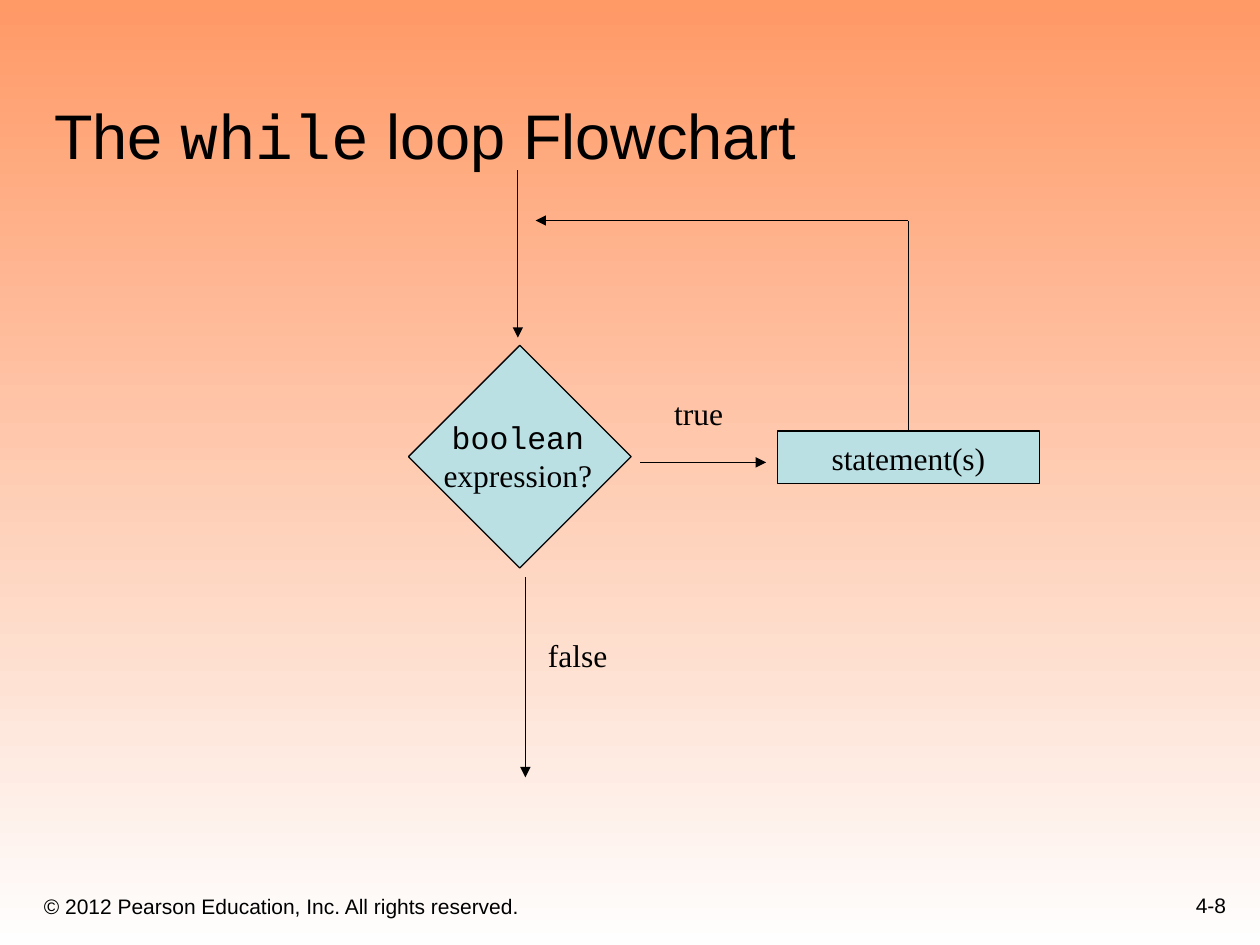
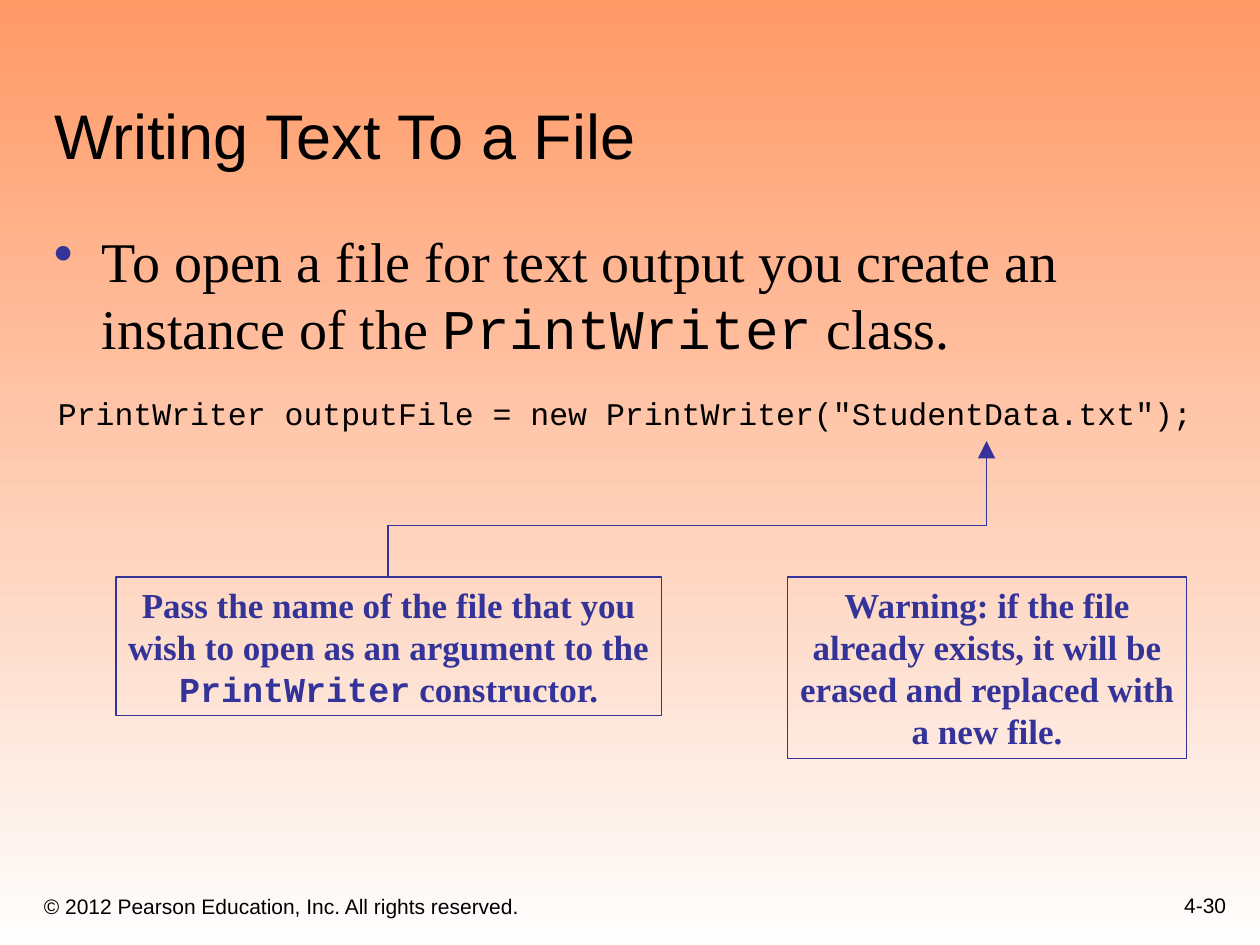
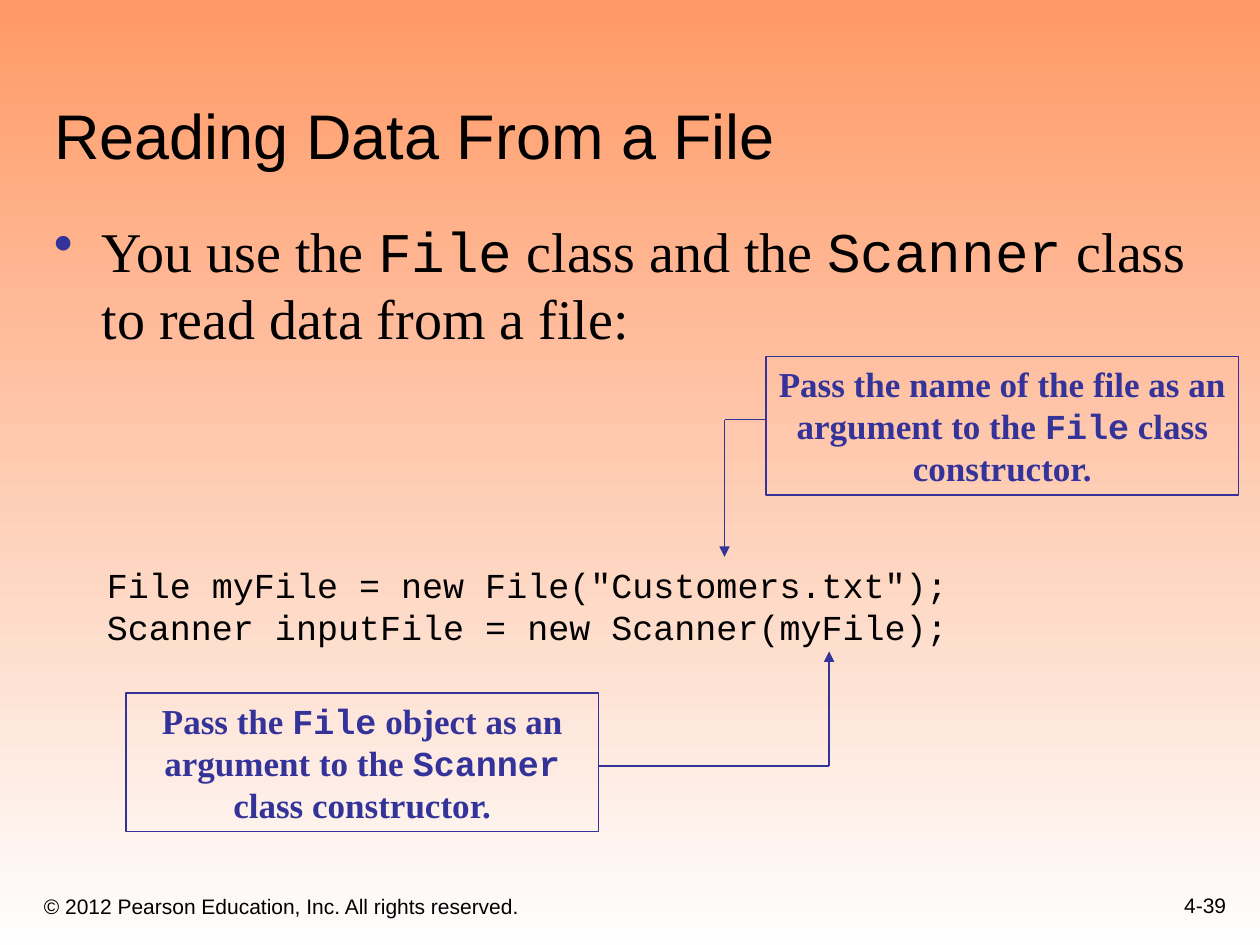
from itertools import pairwise

from lxml import etree
from pptx import Presentation
from pptx.dml.color import RGBColor
from pptx.enum.shapes import MSO_CONNECTOR, MSO_SHAPE
from pptx.enum.text import MSO_ANCHOR, MSO_AUTO_SIZE, PP_ALIGN
from pptx.oxml.ns import qn
from pptx.util import Inches, Pt

LEFT, CENTER, RIGHT = PP_ALIGN.LEFT, PP_ALIGN.CENTER, PP_ALIGN.RIGHT
TOP, MIDDLE, BOTTOM = MSO_ANCHOR.TOP, MSO_ANCHOR.MIDDLE, MSO_ANCHOR.BOTTOM

SANS, SERIF, MONO = "Arial", "Times New Roman", "Courier New"
BLACK, INDIGO, PALE_BLUE = "000000", "333399", "BBE0E3"
BACKGROUND = ("FF9966", "FEFEFE")
COPYRIGHT = "© 2012 Pearson Education, Inc. All rights reserved."
LINE_WIDTH = 0.75
LINE_HEIGHT = 1.2
BULLET_INDENT = 0.38

# Text between backticks is set in the code font.
# Places are (left, top, width, height); routes are lists of corner points.
FLOWCHART = {
    "title": "The `while` loop Flowchart",
    "page": "4-8",
    "decision": (3.5, 3, 1.25, 1.25),
    "statement": ("statement(s)", (6.17, 3.42, 2.08, 0.42)),
    "labels": [
        ("true", (5.25, 3.08, 0.59, 0.4)),
        ("`boolean`\nexpression?", (3.42, 3.27, 1.38, 0.7)),
        ("false", (4.25, 5, 0.67, 0.4)),
    ],
    "routes": [
        [(4.11, 1.35), (4.11, 2.68)],
        [(5.08, 3.67), (6.08, 3.67)],
        [(4.17, 4.58), (4.17, 6.17)],
        [(7.21, 3.42), (7.21, 1.75), (4.25, 1.75)],
    ],
}

CODE_SLIDES = [
    {
        "title": "Writing Text To a File",
        "page": "4-30",
        "bullet": ("To open a file for text output you create an instance of "
                   "the `PrintWriter` class.", (0.33, 1.75, 9.2, 1.3)),
        "code": ('`PrintWriter outputFile = new PrintWriter("StudentData.txt");`',
                 (0.17, 3.08, 9.58, 0.4), 18, CENTER),
        "callouts": [
            ("Pass the name of the file that you wish to open as an argument "
             "to the `PrintWriter` constructor.", (0.92, 4.58, 4.33, 1.1)),
            ("Warning: if the file already exists, it will be erased and "
             "replaced with a new file.", (6.25, 4.58, 3.17, 1.44)),
        ],
        "routes": [[(3.08, 4.58), (3.08, 4.17), (7.83, 4.17), (7.83, 3.5)]],
        "arrow_size": "lg",
    },
    {
        "title": "Reading Data From a File",
        "page": "4-39",
        "bullet": ("You use the `File` class and the `Scanner` class to read "
                   "data from a file:", (0.33, 1.67, 9.2, 1.67)),
        "code": ('`File myFile = new File("Customers.txt");`\n'
                 "`Scanner inputFile = new Scanner(myFile);`",
                 (0.75, 4.42, 7.17, 0.77), 20, LEFT),
        "callouts": [
            ("Pass the name of the file as an argument to the `File` class "
             "constructor.", (6.08, 2.83, 3.75, 1.1)),
            ("Pass the `File` object as an argument to the `Scanner` class "
             "constructor.", (1, 5.5, 3.75, 1.1)),
        ],
        "routes": [
            [(6.08, 3.33), (5.75, 3.33), (5.75, 4.42)],
            [(4.75, 6.08), (6.58, 6.08), (6.58, 5.17)],
        ],
        "arrow_size": "med",
    },
]


def rgb(color):
    return RGBColor.from_string(color)


def inches(place):
    return [Inches(length) for length in place]


def write(shape, text, size, font=SERIF, color=BLACK, align=LEFT, anchor=TOP,
          bold=False, wrap=True, side_inset=0.1, bullet=False):
    """Fill a shape with text, one paragraph per line, code in backticks."""
    frame = shape.text_frame
    frame.word_wrap = wrap
    frame.auto_size = MSO_AUTO_SIZE.NONE
    frame.vertical_anchor = anchor
    frame.margin_left = frame.margin_right = Inches(side_inset)
    frame.margin_top = frame.margin_bottom = Inches(0.05)
    for index, line in enumerate(text.split("\n")):
        paragraph = frame.add_paragraph() if index else frame.paragraphs[0]
        if bullet:
            add_bullet(paragraph)
        paragraph.alignment = align
        if font != SANS:
            paragraph.line_spacing = Pt(size * LINE_HEIGHT)
        paragraph.font.size = Pt(size)
        paragraph.font.bold = bold
        paragraph.font.name = font
        paragraph.font.color.rgb = rgb(color)
        for position, part in enumerate(line.split("`")):
            if part:
                run = paragraph.add_run()
                run.text = part
                if position % 2:
                    run.font.name = MONO


def add_bullet(paragraph):
    properties = paragraph._p.get_or_add_pPr()
    properties.set("marL", str(Inches(BULLET_INDENT)))
    properties.set("indent", str(-Inches(BULLET_INDENT)))
    bullet_color = etree.SubElement(properties, qn("a:buClr"))
    etree.SubElement(bullet_color, qn("a:srgbClr"), val=INDIGO)
    etree.SubElement(properties, qn("a:buChar"), char="•")


def add_text(slide, text, place, size, **style):
    write(slide.shapes.add_textbox(*inches(place)), text, size, **style)


def add_box(slide, place, line, fill=None):
    box = slide.shapes.add_shape(MSO_SHAPE.RECTANGLE, *inches(place))
    box.shadow.inherit = False
    box.line.color.rgb = rgb(line)
    box.line.width = Pt(LINE_WIDTH)
    if fill:
        box.fill.solid()
        box.fill.fore_color.rgb = rgb(fill)
    else:
        box.fill.background()
    return box


def add_route(slide, corners, color, arrow_size="med"):
    """Join the corners with straight lines and put an arrowhead on the last."""
    for start, end in pairwise(corners):
        segment = slide.shapes.add_connector(
            MSO_CONNECTOR.STRAIGHT, *inches(start + end))
        segment.line.color.rgb = rgb(color)
        segment.line.width = Pt(LINE_WIDTH)
        properties = segment._element.spPr
        etree.SubElement(properties, qn("a:effectLst"))
    etree.SubElement(properties.find(qn("a:ln")), qn("a:tailEnd"),
                     type="triangle", w=arrow_size, len=arrow_size)


def paint_background(prs):
    fill = prs.slide_master.background.fill
    fill.gradient()
    fill.gradient_angle = 270
    for stop, color in zip(fill.gradient_stops, BACKGROUND):
        stop.color.rgb = rgb(color)


def add_slide(prs, content):
    """Add a slide with its title, copyright line and page number."""
    slide = prs.slides.add_slide(prs.slide_layouts[5])
    title = slide.shapes.title
    title.left, title.top, title.width, title.height = inches(
        (0.33, 0.33, 9.42, 1.09))
    write(title, content["title"], 36, font=SANS, anchor=BOTTOM)
    add_text(slide, COPYRIGHT, (0.25, 6.92, 6.08, 0.42), 12,
             font=SANS, anchor=BOTTOM)
    add_text(slide, content["page"], (7.75, 6.83, 2.08, 0.5), 12,
             font=SANS, anchor=BOTTOM, align=RIGHT)
    return slide


def add_flowchart_slide(prs, content):
    slide = add_slide(prs, content)
    decision = add_box(slide, content["decision"], BLACK, PALE_BLUE)
    decision.rotation = 45
    statement, place = content["statement"]
    write(add_box(slide, place, BLACK, PALE_BLUE), statement, 18,
          align=CENTER, anchor=MIDDLE, wrap=False)
    for label, place in content["labels"]:
        add_text(slide, label, place, 18, align=CENTER, wrap=False)
    for corners in content["routes"]:
        add_route(slide, corners, BLACK)


def add_code_slide(prs, content):
    slide = add_slide(prs, content)
    bullet, place = content["bullet"]
    add_text(slide, bullet, place, 32, bullet=True)
    code, place, size, align = content["code"]
    add_text(slide, code, place, size, align=align)
    for callout, place in content["callouts"]:
        write(add_box(slide, place, INDIGO), callout, 20, color=INDIGO,
              align=CENTER, bold=True, side_inset=0.08)
    for corners in content["routes"]:
        add_route(slide, corners, INDIGO, content["arrow_size"])


def main():
    prs = Presentation()
    prs.slide_width, prs.slide_height = Inches(10), Inches(7.5)
    paint_background(prs)
    add_flowchart_slide(prs, FLOWCHART)
    for content in CODE_SLIDES:
        add_code_slide(prs, content)
    prs.save("out.pptx")


if __name__ == "__main__":
    main()
